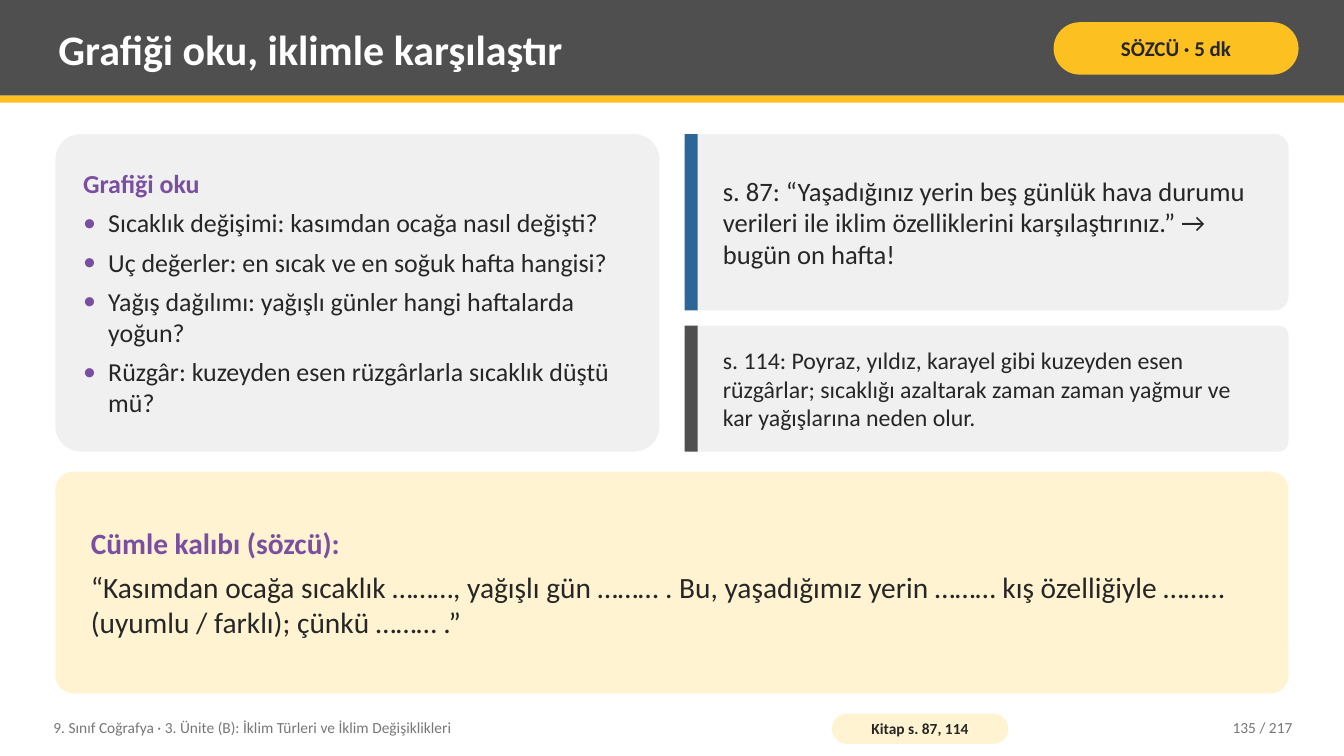
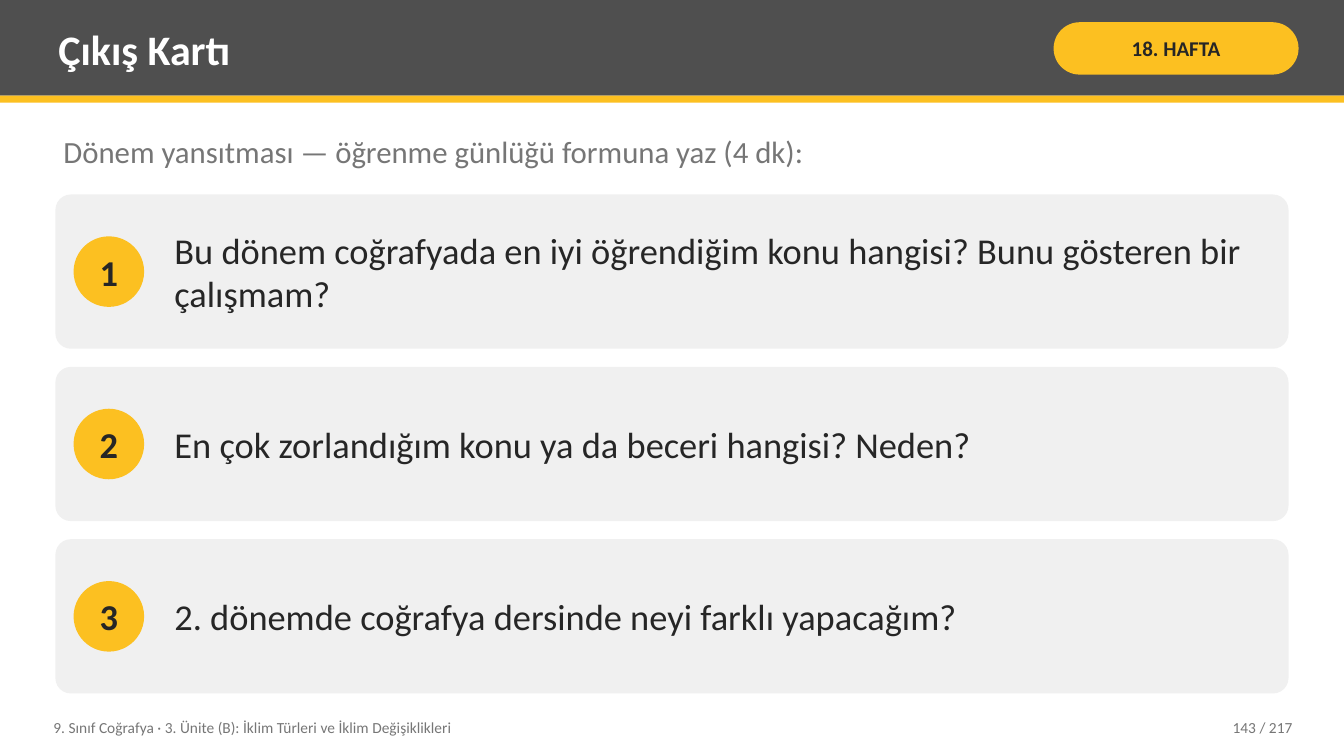
from dataclasses import dataclass
from typing import Any, NamedTuple, Sequence

from lxml import etree
from pptx import Presentation
from pptx import util as u
from pptx.dml.color import RGBColor
from pptx.enum import shapes, text
from pptx.oxml.ns import qn


@dataclass(frozen=True)
class Theme:
    font: str = "Calibri"
    ink: str = "262626"
    muted: str = "767676"
    white: str = "FFFFFF"
    dark: str = "4F4F4F"
    yellow: str = "FCC021"
    cream: str = "FFF3D1"
    panel: str = "F0F0F0"
    purple: str = "7A4EA0"
    blue: str = "2C6696"
    title: float = 30
    question: float = 26
    intro: float = 22
    pattern: float = 21
    quote: float = 19
    bullets: float = 18.5
    note: float = 17
    tag: float = 15
    footer: float = 11


@dataclass(frozen=True)
class Box:
    left: float
    top: float
    width: float
    height: float

    def columns(self, count: int, gap: float) -> list["Box"]:
        width = (self.width - gap * (count - 1)) / count
        return [Box(self.left + i * (width + gap), self.top, width, self.height)
                for i in range(count)]

    def rows(self, shares: Sequence[float], gap: float) -> list["Box"]:
        unit = (self.height - gap * (len(shares) - 1)) / sum(shares)
        return [Box(self.left, self.top + unit * sum(shares[:i]) + gap * i,
                    self.width, unit * share)
                for i, share in enumerate(shares)]

    def inset(self, left: float, right: float) -> "Box":
        return Box(self.left + left, self.top, self.width - left - right, self.height)

    def emu(self) -> tuple[int, ...]:
        return tuple(u.Inches(n) for n in (self.left, self.top, self.width, self.height))


@dataclass(frozen=True)
class Line:
    words: str
    size: float
    color: str
    bold: bool = False
    align: Any = text.PP_ALIGN.LEFT
    after: float = 0
    bullet: str = ""


class Callout(NamedTuple):
    words: str
    size: float
    accent: str


class Page(NamedTuple):
    title: str
    tag: str
    number: int
    source: str = ""


THEME = Theme()
RECT = shapes.MSO_SHAPE.RECTANGLE
ROUND = shapes.MSO_SHAPE.ROUNDED_RECTANGLE
OVAL = shapes.MSO_SHAPE.OVAL
CENTER = text.PP_ALIGN.CENTER
MIDDLE = text.MSO_ANCHOR.MIDDLE

WIDTH, HEIGHT = 13.33, 7.5
MARGIN = 0.55
BOTTOM = 6.88
TEXT_INSET = (0.08, 0.04)
HANGING = 0.25
PAGE_TOTAL = 217
UNIT = "9. Sınıf Coğrafya · 3. Ünite (B): İklim Türleri ve İklim Değişiklikleri"


def body(top: float) -> Box:
    return Box(MARGIN, top, WIDTH - 2 * MARGIN, BOTTOM - top)


def add_bullet(paragraph: Any, color: str) -> None:
    props = paragraph._p.get_or_add_pPr()
    props.set("marL", str(u.Inches(HANGING)))
    props.set("indent", str(-u.Inches(HANGING)))
    tint = etree.SubElement(props, qn("a:buClr"))
    etree.SubElement(tint, qn("a:srgbClr"), val=color)
    etree.SubElement(props, qn("a:buFont"), typeface=THEME.font)
    etree.SubElement(props, qn("a:buChar"), char="•")


def write(frame: Any, lines: Sequence[Line], inset: tuple[float, float] = TEXT_INSET,
          anchor: Any = MIDDLE, wrap: bool = True) -> None:
    frame.auto_size = text.MSO_AUTO_SIZE.NONE
    frame.word_wrap = wrap
    frame.vertical_anchor = anchor
    frame.margin_left = frame.margin_right = u.Inches(inset[0])
    frame.margin_top = frame.margin_bottom = u.Inches(inset[1])
    for index, line in enumerate(lines):
        paragraph = frame.add_paragraph() if index else frame.paragraphs[0]
        paragraph.text = line.words
        paragraph.alignment = line.align
        paragraph.space_after = u.Pt(line.after)
        if line.bullet:
            add_bullet(paragraph, line.bullet)
        font = paragraph.font
        font.name = THEME.font
        font.size = u.Pt(line.size)
        font.bold = line.bold
        font.color.rgb = RGBColor.from_string(line.color)


def add_block(slide: Any, kind: Any, box: Box, fill: str, corner: float = 0) -> Any:
    block = slide.shapes.add_shape(kind, *box.emu())
    block.shadow.inherit = False
    block.fill.solid()
    block.fill.fore_color.rgb = RGBColor.from_string(fill)
    block.line.fill.background()
    if kind == ROUND:
        block.adjustments[0] = corner
    return block


def add_text(slide: Any, box: Box, line: Line, anchor: Any = MIDDLE) -> None:
    write(slide.shapes.add_textbox(*box.emu()).text_frame, [line], anchor=anchor)


def add_pill(slide: Any, box: Box, fill: str, words: str, size: float,
             inset: tuple[float, float]) -> None:
    pill = add_block(slide, ROUND, box, fill, 0.5)
    write(pill.text_frame, [Line(words, size, THEME.ink, True, CENTER)], inset)


def add_callout(slide: Any, box: Box, callout: Callout) -> None:
    add_block(slide, ROUND, box, THEME.panel, 0.08)
    add_block(slide, RECT, Box(box.left, box.top, 0.13, box.height), callout.accent)
    add_text(slide, box.inset(0.3, 0.15), Line(callout.words, callout.size, THEME.ink))


def add_question(slide: Any, box: Box, number: int, words: str) -> None:
    side = 0.7
    add_block(slide, ROUND, box, THEME.panel, 0.1)
    badge = add_block(slide, OVAL, Box(box.left + 0.18, box.top + (box.height - side) / 2,
                                       side, side), THEME.yellow)
    write(badge.text_frame, [Line(str(number), THEME.question, THEME.ink, True, CENTER)],
          (0, 0), wrap=False)
    add_text(slide, box.inset(1.1, 0.2), Line(words, THEME.question, THEME.ink))


def add_page(deck: Any, page: Page) -> Any:
    slide = deck.slides.add_slide(deck.slide_layouts.get_by_name("Title Only"))
    add_block(slide, RECT, Box(0, 0, WIDTH, 0.95), THEME.dark)
    add_block(slide, RECT, Box(0, 0.95, WIDTH, 0.07), THEME.yellow)

    heading = slide.shapes.title
    heading.left, heading.top, heading.width, heading.height = Box(0.5, 0.07, 9.75, 0.82).emu()
    write(heading.text_frame, [Line(page.title, THEME.title, THEME.white, True)])
    slide.shapes._spTree.append(heading._element)

    add_pill(slide, Box(10.45, 0.22, 2.43, 0.52), THEME.yellow, page.tag, THEME.tag,
             (0.05, 0.02))
    add_text(slide, Box(0.45, 7.04, 7.6, 0.36), Line(UNIT, THEME.footer, THEME.muted))
    if page.source:
        add_pill(slide, Box(8.25, 7.08, 1.75, 0.3), THEME.cream, page.source,
                 THEME.footer, (0.04, 0))
    add_text(slide, Box(11.3, 7.04, 1.6, 0.36),
             Line(f"{page.number} / {PAGE_TOTAL}", THEME.footer, THEME.muted,
                  align=text.PP_ALIGN.RIGHT))
    return slide


def build_graph_reading(deck: Any) -> None:
    slide = add_page(deck, Page("Grafiği oku, iklimle karşılaştır", "SÖZCÜ · 5 dk", 135,
                                "Kitap s. 87, 114"))
    upper, lower = body(1.33).rows((3.15, 2.2), 0.2)
    reading, references = upper.columns(2, 0.25)

    prompts = (
        "Sıcaklık değişimi: kasımdan ocağa nasıl değişti?",
        "Uç değerler: en sıcak ve en soğuk hafta hangisi?",
        "Yağış dağılımı: yağışlı günler hangi haftalarda yoğun?",
        "Rüzgâr: kuzeyden esen rüzgârlarla sıcaklık düştü mü?",
    )
    lines = [Line("Grafiği oku", THEME.bullets, THEME.purple, True, after=5.8)]
    lines += [Line(prompt, THEME.bullets, THEME.ink, bullet=THEME.purple,
                   after=0 if prompt == prompts[-1] else 5.8) for prompt in prompts]
    write(add_block(slide, ROUND, reading, THEME.panel, 0.08).text_frame, lines, (0.2, 0.08))

    callouts = (
        Callout("s. 87: “Yaşadığınız yerin beş günlük hava durumu verileri ile iklim "
                "özelliklerini karşılaştırınız.” → bugün on hafta!", THEME.quote, THEME.blue),
        Callout("s. 114: Poyraz, yıldız, karayel gibi kuzeyden esen rüzgârlar; sıcaklığı "
                "azaltarak zaman zaman yağmur ve kar yağışlarına neden olur.",
                THEME.note, THEME.dark),
    )
    for box, callout in zip(references.rows((1.75, 1.25), 0.15), callouts):
        add_callout(slide, box, callout)

    pattern = add_block(slide, ROUND, lower, THEME.cream, 0.08)
    write(pattern.text_frame, [
        Line("Cümle kalıbı (sözcü):", THEME.pattern, THEME.purple, True, after=6),
        Line("“Kasımdan ocağa sıcaklık ………, yağışlı gün ……… . Bu, yaşadığımız yerin ……… "
             "kış özelliğiyle ……… (uyumlu / farklı); çünkü ……… .”", THEME.pattern, THEME.ink),
    ], (0.3, 0.08))


def build_exit_card(deck: Any) -> None:
    slide = add_page(deck, Page("Çıkış Kartı", "18. HAFTA", 143))
    add_text(slide, Box(MARGIN, 1.28, WIDTH - 2 * MARGIN, 0.55),
             Line("Dönem yansıtması — öğrenme günlüğü formuna yaz (4 dk):",
                  THEME.intro, THEME.muted), text.MSO_ANCHOR.TOP)
    questions = (
        "Bu dönem coğrafyada en iyi öğrendiğim konu hangisi? Bunu gösteren bir çalışmam?",
        "En çok zorlandığım konu ya da beceri hangisi? Neden?",
        "2. dönemde coğrafya dersinde neyi farklı yapacağım?",
    )
    cards = body(1.93).rows((1, 1, 1), 0.18)
    for number, (card, words) in enumerate(zip(cards, questions), 1):
        add_question(slide, card, number, words)


def main() -> None:
    deck = Presentation()
    deck.slide_width, deck.slide_height = u.Inches(WIDTH), u.Inches(HEIGHT)
    build_graph_reading(deck)
    build_exit_card(deck)
    deck.save("out.pptx")


if __name__ == "__main__":
    main()
